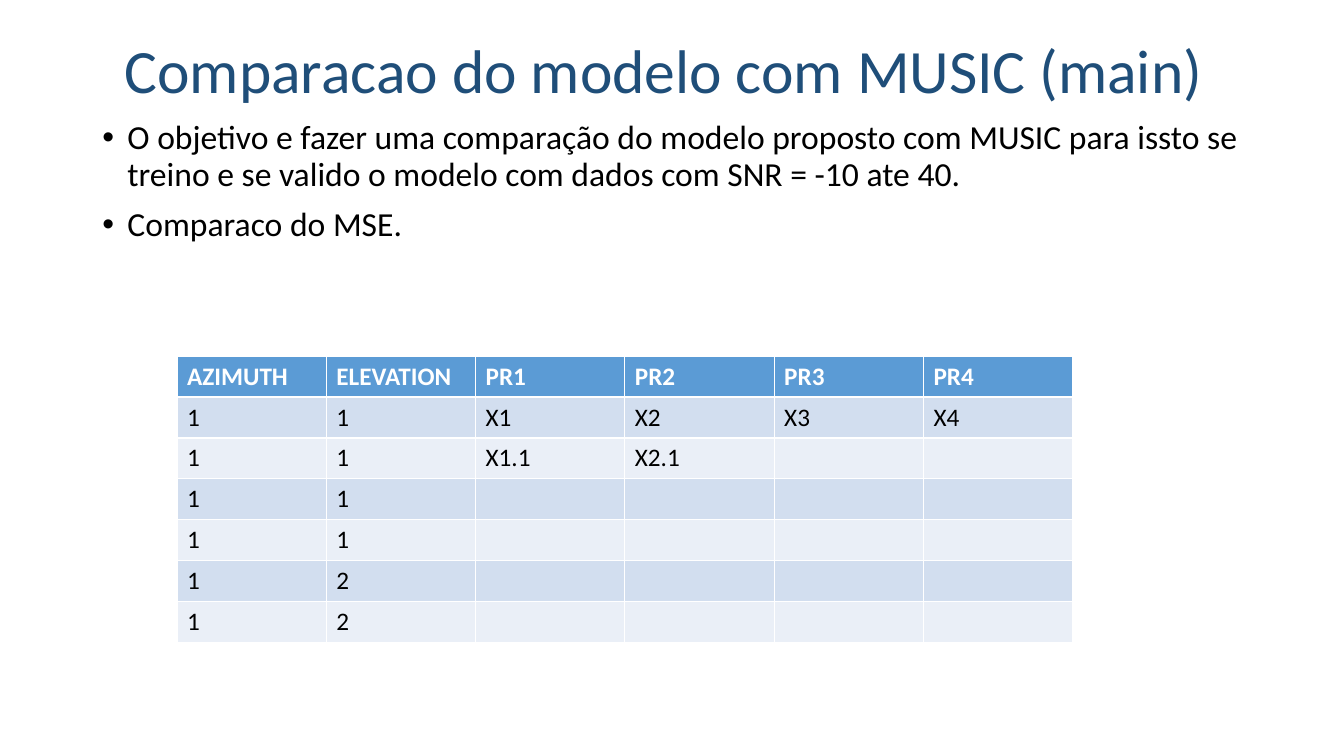
from lxml.etree import SubElement
from pptx import Presentation
from pptx.dml.color import RGBColor
from pptx.enum.text import MSO_ANCHOR
from pptx.oxml.ns import qn
from pptx.util import Pt

COLORS = {
    "title": "1F4E79",
    "text": "000000",
    "white": "FFFFFF",
    "head": "5B9BD5",
    "odd": "D2DEEF",
    "even": "EAEFF7",
}


def add_run(para, text, size, color, bold=False):
    run = para.add_run()
    run.text = text
    run.font.name = "Calibri"
    run.font.size = Pt(size)
    run.font.bold = bold
    run.font.color.rgb = RGBColor.from_string(COLORS[color])


deck = Presentation()
deck.slide_width = Pt(960)
deck.slide_height = Pt(540)
slide = deck.slides.add_slide(deck.slide_layouts[6])

# Title
title = slide.shapes.add_textbox(Pt(82), Pt(0), Pt(828), Pt(104.4)).text_frame
title.word_wrap = True
title.vertical_anchor = MSO_ANCHOR.MIDDLE
title.paragraphs[0].line_spacing = 0.9
add_run(title.paragraphs[0], "Comparacao do modelo com MUSIC (main)", 44, "title")

# Bullets
points = [
    "O objetivo e fazer uma comparação do modelo proposto com MUSIC para issto se "
    "treino e se valido o modelo com dados com SNR = -10 ate 40.",
    "Comparaco do MSE.",
]
body = slide.shapes.add_textbox(Pt(66), Pt(82.8), Pt(828), Pt(342.7)).text_frame
body.word_wrap = True
for i, point in enumerate(points):
    para = body.add_paragraph() if i else body.paragraphs[0]
    para.line_spacing = 0.9
    para.space_before = Pt(10 if i else 0)
    props = para._p.get_or_add_pPr()
    props.set("marL", str(Pt(18)))
    props.set("indent", str(Pt(-18)))
    SubElement(props, qn("a:buFont"), typeface="Arial")
    SubElement(props, qn("a:buChar"), char="•")
    add_run(para, point, 24, "text")

# Table: the default style draws the white borders
rows = [
    ["AZIMUTH", "ELEVATION", "PR1", "PR2", "PR3", "PR4"],
    ["1", "1", "X1", "X2", "X3", "X4"],
    ["1", "1", "X1.1", "X2.1", "", ""],
    ["1", "1", "", "", "", ""],
    ["1", "1", "", "", "", ""],
    ["1", "2", "", "", "", ""],
    ["1", "2", "", "", "", ""],
]
table = slide.shapes.add_table(
    len(rows), len(rows[0]), Pt(126.4), Pt(254.4), Pt(640), Pt(204.4)
).table
for r, row in enumerate(rows):
    band = "head" if r == 0 else "odd" if r % 2 else "even"
    for c, text in enumerate(row):
        cell = table.cell(r, c)
        cell.fill.solid()
        cell.fill.fore_color.rgb = RGBColor.from_string(COLORS[band])
        if text:
            color = "text" if r else "white"
            add_run(cell.text_frame.paragraphs[0], text, 18, color, r == 0)

deck.save("out.pptx")
